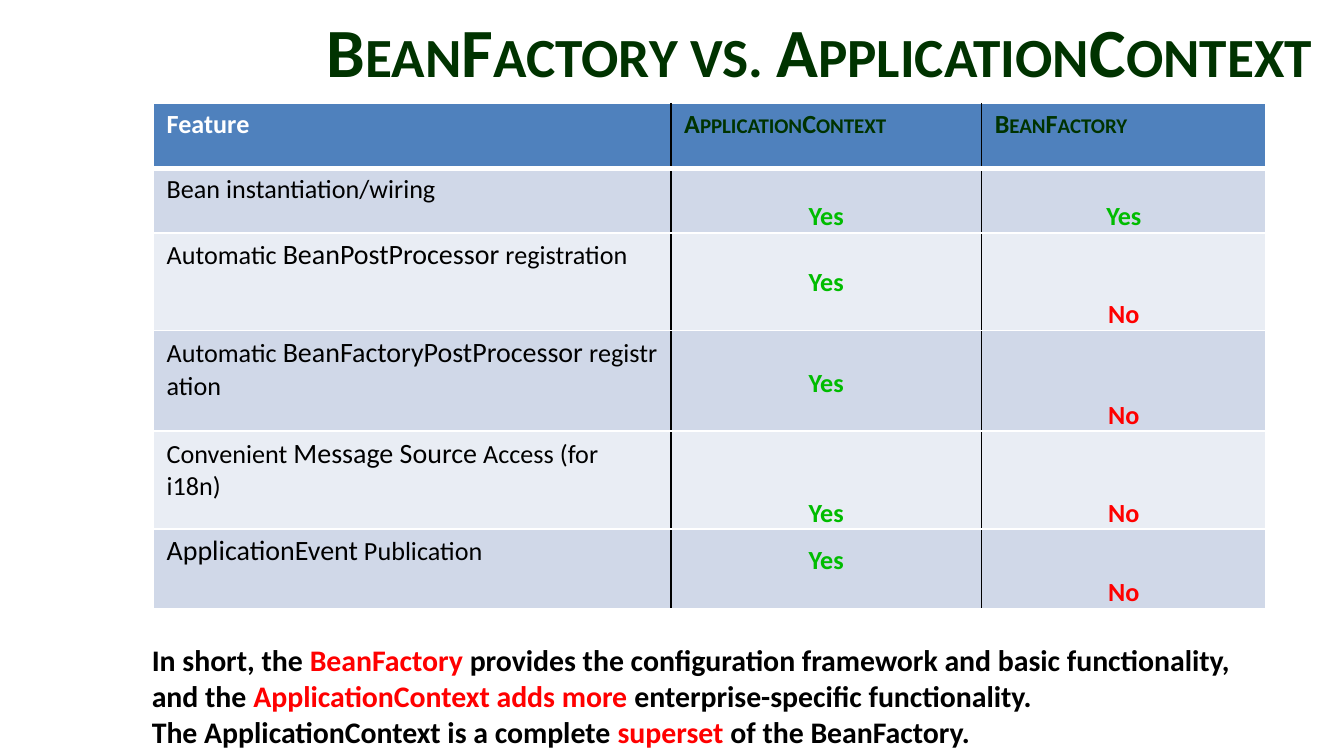
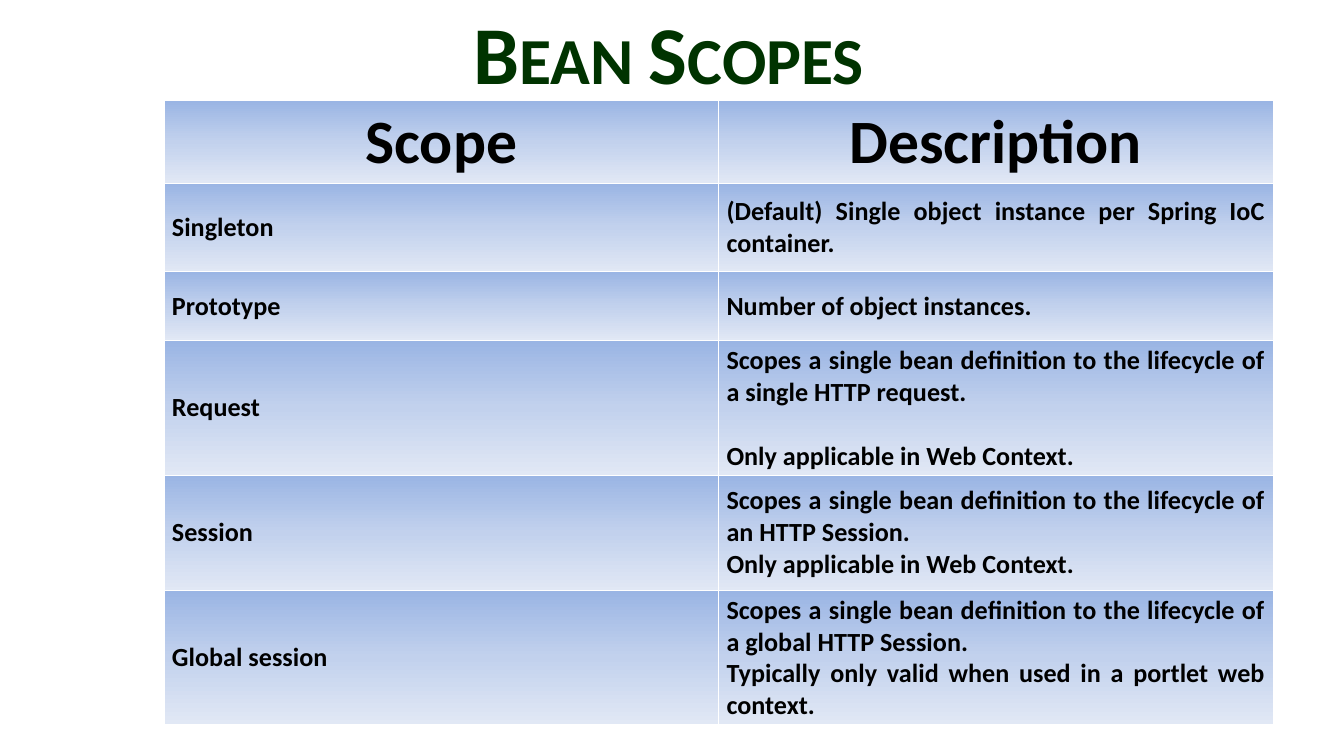
import pptx
import pptx.dml.color
import pptx.enum.text
import pptx.oxml.ns
import pptx.util
from dataclasses import dataclass
from lxml import etree

Cm = pptx.util.Cm
Pt = pptx.util.Pt
ALIGN = pptx.enum.text.PP_ALIGN
ANCHOR = pptx.enum.text.MSO_ANCHOR


@dataclass(frozen=True)
class Theme:
    font: str = "Calibri"
    green: str = "003300"
    black: str = "000000"
    white: str = "FFFFFF"
    yes: str = "00BC00"
    no: str = "FF0000"
    header: str = "4F81BD"
    bands: tuple = ("D0D8E8", "E9EDF4")
    gradient: tuple = ((0, "9AB5E4"), (50, "C2D1ED"), (100, "E1E8F5"))
    body: float = 14
    code: float = 15
    summary: float = 16
    scope_header: float = 33
    title_long: float = 37
    title_short: float = 44


THEME = Theme()


def style(size=THEME.body, color=THEME.black, bold=True, caps=False):
    return {"size": Pt(size), "bold": bold, "color": color, "caps": caps}


PLAIN = style(bold=False)
CODE = style(THEME.code, bold=False)
BOLD = style()
HEAD = style(color=THEME.white)
HEAD_CAPS = style(color=THEME.green, caps=True)
SCOPE_HEAD = style(THEME.scope_header)
SUMMARY = style(THEME.summary)
KEYWORD = style(THEME.summary, THEME.no)
ANSWERS = {"Yes": style(color=THEME.yes), "No": style(color=THEME.no)}

# Content ("~" stands for a non-breaking space)
COMPARISON = {
    "title": "BeanFactory vs. ApplicationContext",
    "title_box": (-0.71, -0.03, 25.76, 1.93),
    "table_at": (2.9, 1.96),
    "columns": (9.78, 5.87, 5.38),
    "heights": (1.22, 1.22, 1.85, 1.9, 1.85, 1.5),
    "header": [("Feature", HEAD), ("ApplicationContext", HEAD_CAPS), ("BeanFactory", HEAD_CAPS)],
    # feature, ApplicationContext answer, BeanFactory answer, first answer raised one line
    "features": [
        ([("Bean instantiation/wiring", PLAIN)], "Yes", "Yes", False),
        ([("Automatic~", PLAIN), ("BeanPostProcessor", CODE), ("~registration", PLAIN)],
         "Yes", "No", True),
        ([("Automatic~", PLAIN), ("BeanFactoryPostProcessor", CODE), ("~registration", PLAIN)],
         "Yes", "No", True),
        ([("Convenient~", PLAIN), ("Message Source", CODE), ("~Access (for i18n)", PLAIN)],
         "Yes", "No", False),
        ([("ApplicationEvent", CODE), ("~Publication", PLAIN)], "Yes", "No", True),
    ],
    "summary_box": (2.62, 12.01, 21.79, 2.31),
    "summary": [
        ("In short, the~", SUMMARY),
        ("BeanFactory", KEYWORD),
        ("~provides the configuration framework and basic functionality, and the~", SUMMARY),
        ("ApplicationContext~adds more ", KEYWORD),
        ("enterprise-specific functionality. The~ApplicationContext~is a complete ", SUMMARY),
        ("superset", KEYWORD),
        (" of the~BeanFactory.", SUMMARY),
    ],
}

SCOPES = {
    "title": "Bean Scopes",
    "title_box": (-0.15, -0.03, 25.58, 2.01),
    "table_at": (3.1, 1.9),
    "columns": (10.48, 10.48),
    "heights": (1.22, 1.68, 1.3, 2.11, 2.18, 2.39),
    "header": ("Scope", "Description"),
    "scopes": [
        ("Singleton", ["(Default) Single object instance per Spring IoC container."]),
        ("Prototype", ["Number of object instances."]),
        ("Request", ["Scopes a single bean definition to the lifecycle of a single HTTP request.",
                     "Only applicable in Web Context."]),
        ("Session", ["Scopes a single bean definition to the lifecycle of an HTTP~Session.",
                     "Only applicable in Web Context."]),
        ("Global session", ["Scopes a single bean definition to the lifecycle of a global HTTP~Session.",
                            "Typically only valid when used in a portlet web context."]),
    ],
    "spaced": "Request",
}

LINE = 0.6  # height of one body line in cm


# Text
def write(frame, paragraphs, align=ALIGN.LEFT, gap=0):
    for index, runs in enumerate(paragraphs):
        paragraph = frame.add_paragraph() if index else frame.paragraphs[0]
        paragraph.alignment = align
        if index and gap:
            paragraph.space_before = Cm(gap)
        for text, look in runs:
            run = paragraph.add_run()
            run.text = text.replace("~", chr(160))
            run.font.name = THEME.font
            for name in ("size", "bold"):
                setattr(run.font, name, look[name])
            run.font.color.rgb = pptx.dml.color.RGBColor.from_string(look["color"])
            if look["caps"]:
                run._r.get_or_add_rPr().set("cap", "small")


def add_text(slide, box, runs, align, anchor):
    frame = slide.shapes.add_textbox(*map(Cm, box)).text_frame
    frame.word_wrap = True
    frame.vertical_anchor = anchor
    write(frame, [runs], align)


def add_title(slide, content, size, align):
    look = style(size, THEME.green, caps=True)
    add_text(slide, content["title_box"], [(content["title"], look)], align, ANCHOR.MIDDLE)


# Tables
def add_grid(slide, content):
    columns, heights = content["columns"], content["heights"]
    box = (*content["table_at"], sum(columns), sum(heights))
    table = slide.shapes.add_table(len(heights), len(columns), *map(Cm, box)).table
    table.first_row = table.horz_banding = False
    for column, width in zip(table.columns, columns):
        column.width = Cm(width)
    for row, height in zip(table.rows, heights):
        row.height = Cm(height)
    return table


def add_xml(parent, tag, **attributes):
    values = {name: str(value) for name, value in attributes.items()}
    return etree.SubElement(parent, pptx.oxml.ns.qn(tag), values)


def set_borders(cell, **sides):
    for side in "LRTB":
        color, width = sides[side]
        line = add_xml(cell._tc.get_or_add_tcPr(), f"a:ln{side}", w=int(Pt(width)))
        add_xml(add_xml(line, "a:solidFill"), "a:srgbClr", val=color)


def set_gradient(cell):
    fill = add_xml(cell._tc.get_or_add_tcPr(), "a:gradFill", rotWithShape=1)
    stops = add_xml(fill, "a:gsLst")
    for percent, color in THEME.gradient:
        add_xml(add_xml(stops, "a:gs", pos=percent * 1000), "a:srgbClr", val=color)
    add_xml(fill, "a:lin", ang=90 * 60000, scaled=0)


def set_layout(cell, anchor, side, edge, bottom=None):
    layout = {"vertical_anchor": anchor, "margin_left": Cm(side), "margin_right": Cm(side),
              "margin_top": Cm(edge), "margin_bottom": Cm(edge if bottom is None else bottom)}
    for name, value in layout.items():
        setattr(cell, name, value)


def build_comparison(slide):
    add_title(slide, COMPARISON, THEME.title_long, ALIGN.RIGHT)
    table = add_grid(slide, COMPARISON)
    last = len(COMPARISON["columns"]) - 1

    # Fills, and black rules between columns only
    for r, row in enumerate(table.rows):
        for c, cell in enumerate(row.cells):
            set_borders(cell,
                        L=(THEME.black if c else THEME.white, 1),
                        R=(THEME.black if c < last else THEME.white, 1),
                        T=(THEME.white, 3 if r == 1 else 1),
                        B=(THEME.white, 1 if r else 3))
            color = THEME.bands[(r - 1) % 2] if r else THEME.header
            cell.fill.solid()
            cell.fill.fore_color.rgb = pptx.dml.color.RGBColor.from_string(color)

    for c, heading in enumerate(COMPARISON["header"]):
        cell = table.cell(0, c)
        set_layout(cell, ANCHOR.TOP, 0.25, 0.1)
        write(cell.text_frame, [[heading]])

    for r, (feature, context, factory, raised) in enumerate(COMPARISON["features"], 1):
        cell = table.cell(r, 0)
        set_layout(cell, ANCHOR.TOP, 0.25, 0.1)
        write(cell.text_frame, [feature])
        for c, (answer, lift) in enumerate([(context, LINE * raised), (factory, 0)], 1):
            cell = table.cell(r, c)
            set_layout(cell, ANCHOR.BOTTOM, 0, 0, lift)
            write(cell.text_frame, [[(answer, ANSWERS[answer])]], ALIGN.CENTER)

    add_text(slide, COMPARISON["summary_box"], COMPARISON["summary"], ALIGN.LEFT, ANCHOR.TOP)


def build_scopes(slide):
    table = add_grid(slide, SCOPES)
    header, description = SCOPES["header"]
    rows = [(header, [description])] + SCOPES["scopes"]
    for r, (scope, lines) in enumerate(rows):
        look, align, side = (BOLD, ALIGN.JUSTIFY, 0.15) if r else (SCOPE_HEAD, ALIGN.CENTER, 0.2)
        gap = LINE if scope == SCOPES["spaced"] else 0
        for c, texts in enumerate(([scope], lines)):
            cell = table.cell(r, c)
            set_borders(cell, **dict.fromkeys("LRTB", (THEME.white, 0.5)))
            set_gradient(cell)
            set_layout(cell, ANCHOR.MIDDLE, side, 0.08)
            write(cell.text_frame, [[(text, look)] for text in texts], align, gap)
    add_title(slide, SCOPES, THEME.title_short, ALIGN.CENTER)


def main():
    deck = pptx.Presentation()
    deck.slide_width, deck.slide_height = Cm(25.4), Cm(14.29)
    blank = deck.slide_layouts[6]
    for build in (build_comparison, build_scopes):
        build(deck.slides.add_slide(blank))
    deck.save("out.pptx")


if __name__ == "__main__":
    main()
